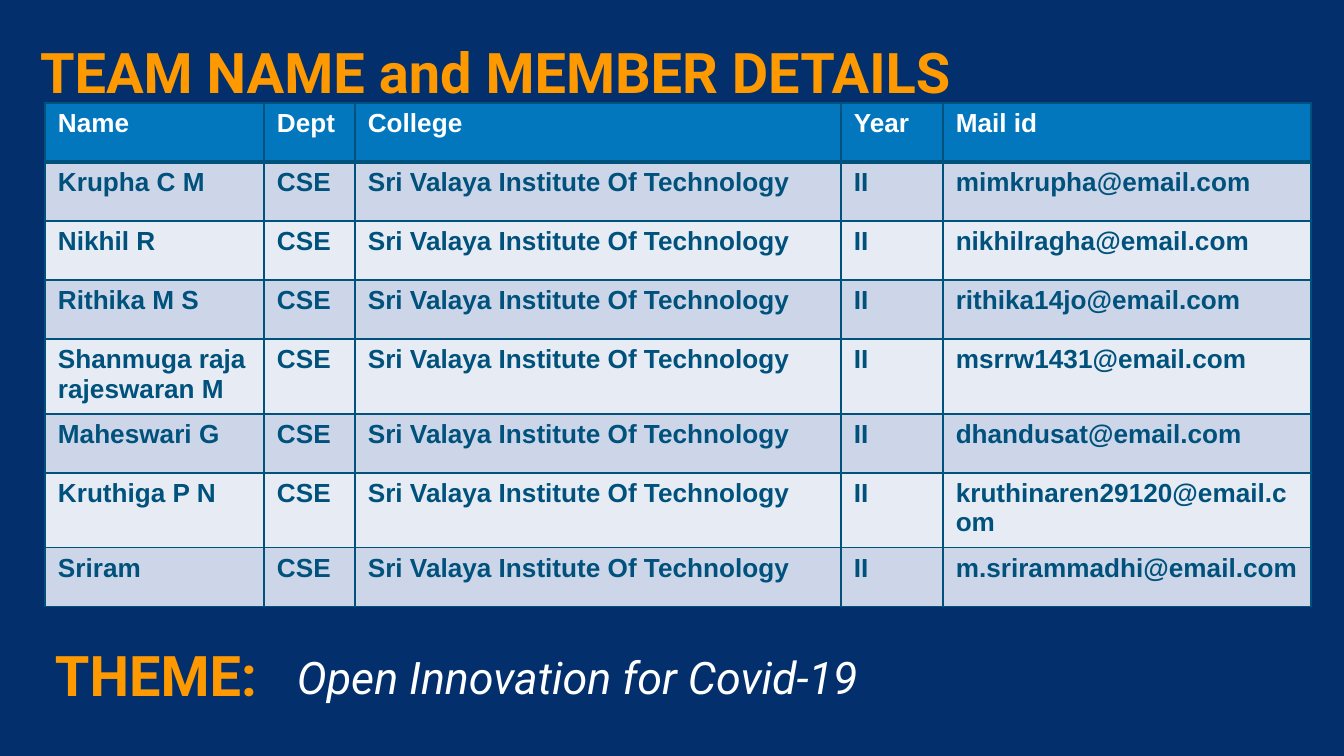
"""Build the team slide: a heading, a member table and the theme line."""
from dataclasses import dataclass

from lxml.etree import SubElement
from pptx import Presentation
from pptx.dml.color import RGBColor
from pptx.enum.text import MSO_ANCHOR
from pptx.oxml.ns import qn
from pptx.slide import Slide
from pptx.table import _Cell
from pptx.util import Emu, Pt

SCALE = 9144000 / 1344
COLORS = {
    "back": "03306C",
    "gold": "FF9900",
    "white": "FFFFFF",
    "head": "0277BD",
    "ink": "00517C",
    "dark": "CCD6E8",
    "light": "E7ECF4",
}
DEPT = "CSE"
COLLEGE = "Sri Valaya Institute Of Technology"
YEAR = "II"
HOST = "@email.com"
HEADS = ("Name", "Dept", "College", "Year", "Mail id")
WIDTHS = (219, 91, 486, 102, 368)
ROW = 59


@dataclass(frozen=True)
class Label:
    text: str
    left: int
    top: int
    width: int
    height: int
    size: int
    color: str
    bold: bool = False
    slant: bool = False
    inset: int = 13
    middle: bool = False


@dataclass(frozen=True)
class Member:
    name: str
    mail: str


LABELS = (
    Label("TEAM NAME and MEMBER DETAILS", 0, 26, 1082, 91, 30, "gold",
          bold=True, inset=40, middle=True),
    Label("THEME:", 42, 617, 1230, 157, 30, "gold", bold=True),
    Label("Open Innovation for Covid-19", 284, 629, 999, 157, 24, "white",
          slant=True),
)
MEMBERS = (
    Member("Krupha C M", "mimkrupha"),
    Member("Nikhil R", "nikhilragha"),
    Member("Rithika M S", "rithika14jo"),
    Member("Shanmuga raja rajeswaran M", "msrrw1431"),
    Member("Maheswari G", "dhandusat"),
    Member("Kruthiga P N", "kruthinaren29120"),
    Member("Sriram", "m.srirammadhi"),
)


def px(count: int) -> Emu:
    """Turn pixels into EMU."""
    return Emu(round(count * SCALE))


def tint(name: str) -> RGBColor:
    """Look up a named colour."""
    return RGBColor.from_string(COLORS[name])


def draw_label(slide: Slide, label: Label) -> None:
    """Draw one line of text in its box."""
    box = slide.shapes.add_textbox(px(label.left), px(label.top),
                                   px(label.width), px(label.height))
    frame = box.text_frame
    frame.word_wrap = True
    frame.margin_left = px(label.inset)
    frame.margin_right = frame.margin_top = frame.margin_bottom = px(13)
    line = frame.paragraphs[0]
    line.text = label.text
    if label.middle:
        frame.vertical_anchor = MSO_ANCHOR.MIDDLE
    else:
        line.line_spacing = 1.15
        line.space_after = Pt(16)
    font = line.font
    font.name, font.size = "Roboto", Pt(label.size)
    font.bold, font.italic = label.bold, label.slant
    font.color.rgb = tint(label.color)


def add_edge(cell: _Cell, side: str, width: int) -> None:
    """Add a solid border to one side of a cell."""
    edge = SubElement(cell._tc.get_or_add_tcPr(), qn(f"a:ln{side}"),
                      w=str(Pt(width)))
    fill = SubElement(edge, qn("a:solidFill"))
    SubElement(fill, qn("a:srgbClr"), val=COLORS["ink"])


def draw_cell(cell: _Cell, text: str, row: int) -> None:
    """Fill one cell, with a thick rule between head and body."""
    thick = {(0, "B"), (1, "T")}
    for side in "LRTB":
        add_edge(cell, side, 3 if (row, side) in thick else 1)
    cell.fill.solid()
    band = "dark" if row % 2 else "light"
    cell.fill.fore_color.rgb = tint(band if row else "head")
    cell.margin_left = cell.margin_right = px(13)
    cell.margin_top = cell.margin_bottom = px(6)
    line = cell.text_frame.paragraphs[0]
    line.text = text
    font = line.font
    font.name, font.size, font.bold = "Arial", Pt(14), True
    font.color.rgb = tint("ink" if row else "white")


def draw_table(slide: Slide, left: int, top: int) -> None:
    """Draw the heads and one row per member."""
    rows = [HEADS] + [(one.name, DEPT, COLLEGE, YEAR, one.mail + HOST)
                      for one in MEMBERS]
    table = slide.shapes.add_table(len(rows), len(HEADS), px(left), px(top),
                                   px(sum(WIDTHS)), px(ROW * len(rows))).table
    for column, width in zip(table.columns, WIDTHS):
        column.width = px(width)
    for row, texts in enumerate(rows):
        table.rows[row].height = px(ROW)
        for col, text in enumerate(texts):
            draw_cell(table.cell(row, col), text, row)


def main() -> None:
    """Build and save the deck."""
    deck = Presentation()
    deck.slide_width, deck.slide_height = px(1344), px(756)
    slide = deck.slides.add_slide(deck.slide_layouts[6])
    fill = slide.background.fill
    fill.solid()
    fill.fore_color.rgb = tint("back")
    for label in LABELS:
        draw_label(slide, label)
    draw_table(slide, 45, 103)
    deck.save("out.pptx")


if __name__ == "__main__":
    main()
